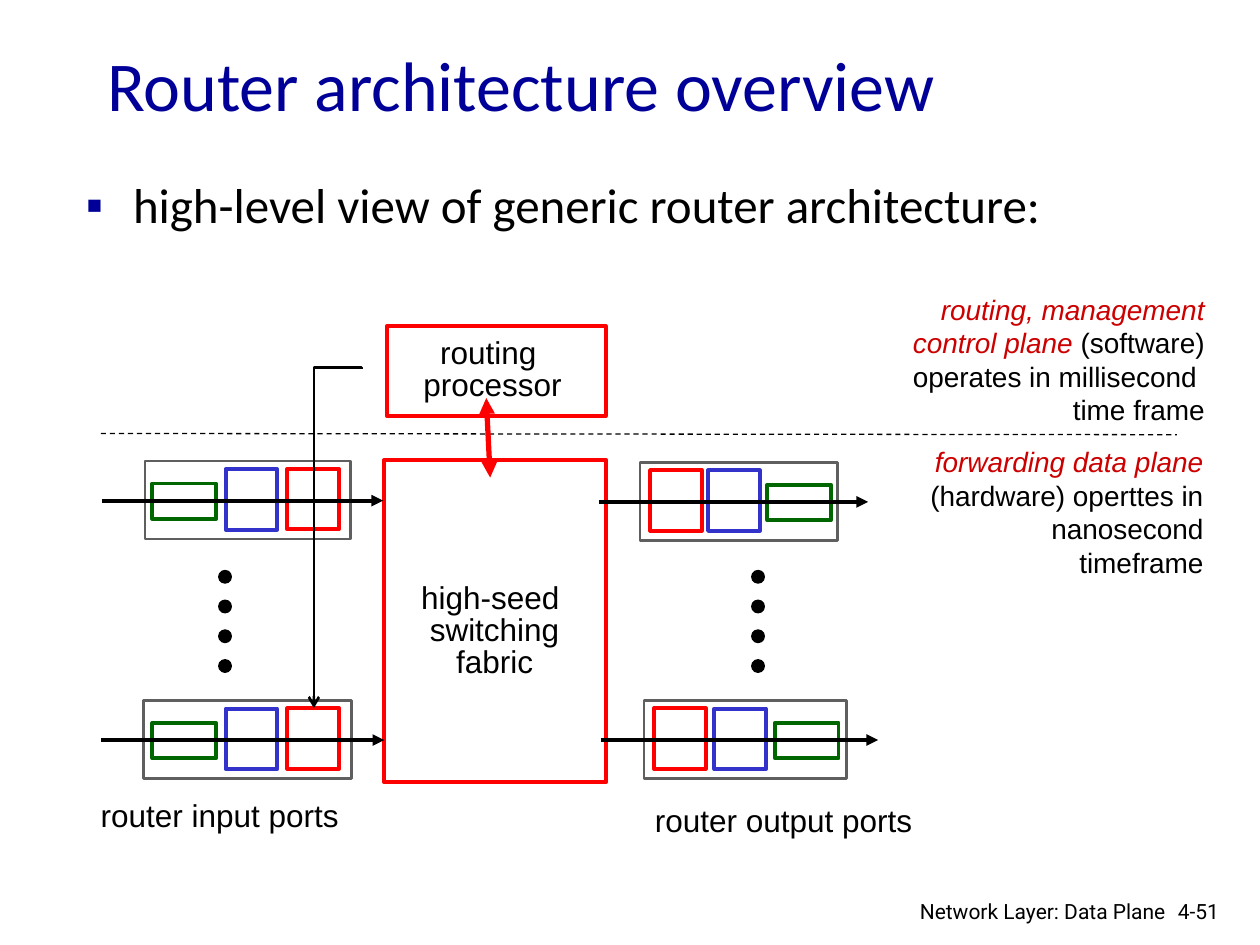
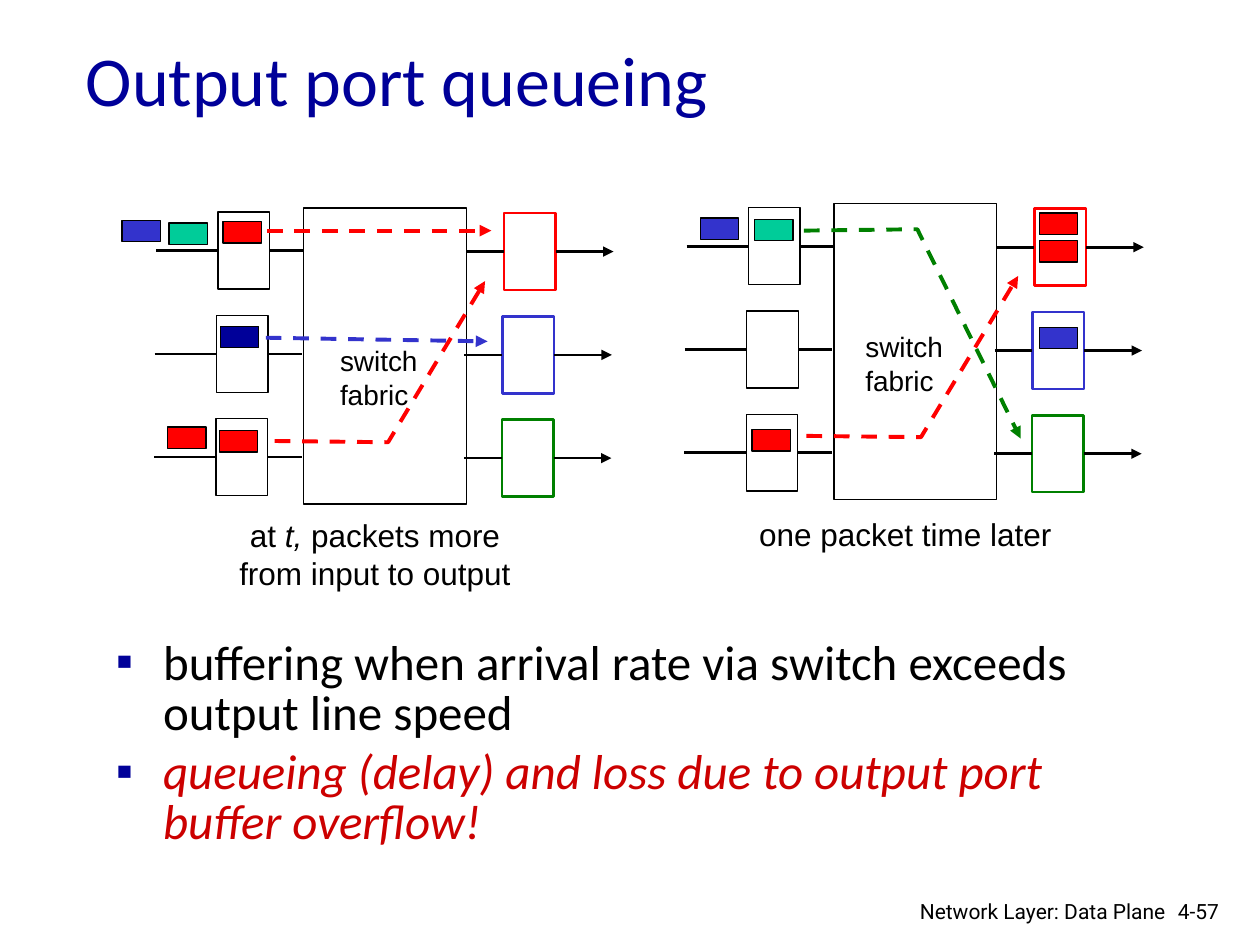
"""Build two slides on router architecture and output port queueing."""
from lxml.etree import SubElement
from pptx import Presentation
from pptx.dml.color import RGBColor
from pptx.enum.dml import MSO_LINE
from pptx.enum.shapes import MSO_CONNECTOR as LINK, MSO_SHAPE as SHAPE
from pptx.enum.text import MSO_ANCHOR as ANCHOR, MSO_AUTO_SIZE, PP_ALIGN as ALIGN
from pptx.oxml.ns import qn
from pptx.util import Pt

NAVY = RGBColor(0x00, 0x00, 0x99)
BLACK = RGBColor(0x00, 0x00, 0x00)
WHITE = RGBColor(0xFF, 0xFF, 0xFF)
RED = RGBColor(0xFF, 0x00, 0x00)
CRIMSON = RGBColor(0xCC, 0x00, 0x00)
BLUE = RGBColor(0x33, 0x33, 0xCC)
GREEN = RGBColor(0x00, 0x80, 0x00)
DARK_GREEN = RGBColor(0x00, 0x66, 0x00)
TEAL = RGBColor(0x00, 0xCC, 0x99)
GRAY = RGBColor(0x5F, 0x5F, 0x5F)


def write(holder, paragraphs, place, font="Arial", size=18, color=BLACK, align=ALIGN.LEFT,
          anchor=ANCHOR.TOP, wrap=True, spacing=1.0, bullet=None):
    """Fill a text holder; a run given as (text, color) is italic."""
    holder.left, holder.top, holder.width, holder.height = map(Pt, place)
    frame = holder.text_frame
    frame.auto_size = MSO_AUTO_SIZE.NONE
    frame.word_wrap = wrap
    frame.vertical_anchor = anchor
    for number, runs in enumerate(paragraphs):
        paragraph = frame.add_paragraph() if number else frame.paragraphs[0]
        paragraph.alignment = align
        paragraph.line_spacing = spacing
        paragraph.space_before = Pt(size * 0.2 if bullet else 0)
        if bullet:
            properties = paragraph._p.get_or_add_pPr()
            properties.set("marL", str(Pt(27)))
            properties.set("indent", str(-Pt(27)))
            bullet_color = SubElement(properties, qn("a:buClr"))
            SubElement(bullet_color, qn("a:srgbClr")).set("val", str(NAVY))
            SubElement(properties, qn("a:buChar")).set("char", bullet)
        for part in runs:
            italic = isinstance(part, tuple)
            text, run_color = part if italic else (part, color)
            run = paragraph.add_run()
            run.text = text
            run.font.name = font
            run.font.size = Pt(size)
            run.font.italic = italic
            run.font.color.rgb = run_color


def style(shape, color, width, fill=None, dash=False, head=None, tail=None):
    """Set outline, arrowheads and fill, and drop the shadow."""
    shape.line.color.rgb = color
    shape.line.width = Pt(width)
    if dash:
        shape.line.dash_style = MSO_LINE.DASH
    for end, kind in (("a:headEnd", head), ("a:tailEnd", tail)):
        if kind:
            SubElement(shape.line._get_or_add_ln(), qn(end)).set("type", kind)
    if hasattr(shape, "fill"):
        shape.shadow.inherit = False
        if fill is None:
            shape.fill.background()
        else:
            shape.fill.solid()
            shape.fill.fore_color.rgb = fill
    else:
        SubElement(shape._element.spPr, qn("a:effectLst"))
    return shape


deck = Presentation()
deck.slide_width, deck.slide_height = Pt(720), Pt(540)

outlines = [
    ("Router architecture overview", (54, 23.8, 612, 48.2), (41.8, 101.5, 612, 46),
     [["high-level view of generic router architecture:"]], "4-51"),
    ("Output port queueing", (41.8, 15.8, 612, 57.6), (59, 362.2, 612, 93.6),
     [["buffering when arrival rate via switch exceeds output line speed"],
      [("queueing (delay) and loss due to output port buffer overflow!", CRIMSON)]], "4-57"),
]
slides = []
for title, title_place, list_place, points, page in outlines:
    slide = deck.slides.add_slide(deck.slide_layouts[1])
    write(slide.shapes.title, [[title]], title_place, font="Calibri", size=40, color=NAVY,
          anchor=ANCHOR.MIDDLE)
    write(slide.placeholders[1], points, list_place, font="Calibri", size=28, spacing=0.85,
          bullet="▪")
    for footer, place, align in ((page, (666, 509.8, 44, 21.6), ALIGN.LEFT),
                                 ("Network Layer: Data Plane", (501.8, 509.8, 171.4, 18.7),
                                  ALIGN.RIGHT)):
        write(slide.shapes.add_textbox(0, 0, 0, 0), [[footer]], place, font="Roboto", size=12,
              align=align)
    slides.append(slide)

architecture = slides[0].shapes
for place in ((219.6, 262.8, 126.7, 184.3), (221, 186.5, 125.3, 51.1)):
    style(architecture.add_shape(SHAPE.RECTANGLE, *map(Pt, place)), RED, 2.25, WHITE)

ports = [
    ((82.8, 263.5, 117.4), 87.1, 128.9, 164.2, (58.3, 218.9)),
    ((82.1, 400.3, 118.8), 87.1, 128.9, 164.2, (57.6, 219.6)),
    ((365.8, 264.2, 113), 438.5, 404.6, 371.5, (342, 496.1)),
    ((367.9, 400.3, 115.9), 442.8, 408.2, 373.7, (343.4, 501.8)),
]
for (left, top, width), green_x, blue_x, red_x, (start, end) in ports:
    for x, y, w, h, color, weight in ((left, top, width, 44.6, GRAY, 1.5),
                                      (green_x, top + 12.8, 36.4, 20.2, DARK_GREEN, 2.25),
                                      (blue_x, top + 4.6, 29.5, 34.6, BLUE, 2.25),
                                      (red_x, top + 4.4, 29.5, 34.6, RED, 2.25)):
        stage = architecture.add_shape(SHAPE.RECTANGLE, Pt(x), Pt(y), Pt(w), Pt(h))
        style(stage, color, weight, WHITE)
    flow = architecture.add_connector(LINK.STRAIGHT, Pt(start), Pt(top + 22.6), Pt(end),
                                      Pt(top + 22.6))
    style(flow, BLACK, 2.25, tail="triangle")

for dots_x in (125, 429.6):
    for row in range(4):
        dot = architecture.add_shape(SHAPE.OVAL, Pt(dots_x), Pt(326 + 17 * row), Pt(7.2), Pt(7.2))
        style(dot, BLACK, 0.75, BLACK)

plane_border = architecture.add_connector(LINK.STRAIGHT, Pt(57.6), Pt(247.7), Pt(672.5), Pt(248.4))
style(plane_border, BLACK, 0.75, dash=True)
processor_link = architecture.add_connector(LINK.STRAIGHT, Pt(277.9), Pt(227.5), Pt(280.1),
                                            Pt(272.9))
style(processor_link, RED, 3, head="triangle", tail="triangle")
table_update = architecture.add_connector(LINK.ELBOW, Pt(95.8), Pt(293.8), Pt(290.2), Pt(321.1))
style(table_update, BLACK, 1.5, tail="arrow")
update_geometry = table_update._element.spPr
update_geometry.find(qn("a:xfrm")).set("rot", "5400000")
bend = SubElement(update_geometry.find(qn("a:prstGeom")).find(qn("a:avLst")), qn("a:gd"))
bend.set("name", "adj1")
bend.set("fmla", "val -100")

centred = dict(align=ALIGN.CENTER, wrap=False, spacing=0.85)
plane = dict(align=ALIGN.RIGHT, size=16)
architecture_labels = [
    ([["high-seed "], ["switching"], ["fabric"]], (234, 329.8, 97.2, 63.4), centred),
    ([["routing "], ["processor"]], (234.7, 190.1, 93.6, 43.9), centred),
    ([["router input ports"]], (50.4, 451.4, 150.5, 28.8), dict(wrap=False)),
    ([["router output ports"]], (367.2, 454.3, 161.3, 28.8), dict(wrap=False)),
    ([[("forwarding data plane ", CRIMSON), "(hardware) operttes in nanosecond timeframe"]],
     (522.7, 250.6, 172.1, 85), plane),
    ([[("routing, management", CRIMSON)], [("control plane ", CRIMSON), "(software)"],
      ["operates in millisecond "], ["time frame"]], (468.7, 163.4, 226.8, 85), plane),
]
for paragraphs, place, look in architecture_labels:
    write(architecture.add_textbox(0, 0, 0, 0), paragraphs, place, **look)

queueing = slides[1].shapes
for dx, dy in ((0, 0), (303, -2.5)):
    fabric = queueing.add_shape(SHAPE.RECTANGLE, Pt(173.5 + dx), Pt(118.8 + dy), Pt(92.9),
                                Pt(169.2))
    style(fabric, BLACK, 0.75, WHITE)
    for row, (shift, port_color) in enumerate(((0, RED), (-1, BLUE), (-1.2, GREEN))):
        x, y = dx + shift, 121.2 + dy + 59 * row
        in_port, out_port = [
            style(queueing.add_shape(SHAPE.RECTANGLE, Pt(x + left), Pt(y + drop), Pt(29.5), Pt(44)),
                  color, weight, WHITE)
            for left, drop, color, weight in ((124.6, 0, BLACK, 0.75), (288, 0.6, port_color, 1.5))]
        for port, middle, before, after, tail in ((in_port, y + 22, 89.3, 173.5, None),
                                                  (out_port, y + 22.6, 266.4, 350.6, "triangle")):
            arriving = queueing.add_connector(LINK.STRAIGHT, Pt(x + before), Pt(middle),
                                              port.left, Pt(middle))
            arriving.end_connect(port, 1)
            style(arriving, BLACK, 1.5)
            leaving = queueing.add_connector(LINK.STRAIGHT, port.left + port.width, Pt(middle),
                                             Pt(x + after), Pt(middle))
            leaving.begin_connect(port, 3)
            style(leaving, BLACK, 1.5, tail=tail)

packets = [
    (69.8, 126, BLUE), (96.5, 127.4, TEAL), (127.4, 126.7, RED), (126, 186.5, NAVY),
    (125.3, 246.2, RED), (95.8, 244.1, RED),
    (400.3, 124.6, BLUE), (431.3, 125.3, TEAL), (429.8, 245.5, RED),
    (594, 121.7, RED), (594, 137.5, RED), (594, 187.2, BLUE),
]
for x, y, color in packets:
    packet = queueing.add_shape(SHAPE.RECTANGLE, Pt(x), Pt(y), Pt(21.9), Pt(12.2))
    style(packet, BLACK, 0.75, color)

transfers = [
    (RED, [(152.6, 131.8), (280.8, 131.8)]),
    (BLUE, [(151.9, 193), (278.6, 195.1)]),
    (RED, [(157, 252), (221.8, 252.7), (277.2, 160.6)]),
    (RED, [(460.8, 249.1), (526.3, 249.8), (581.8, 157.7)]),
    (GREEN, [(459.4, 131.8), (524.2, 131), (583.2, 250.6)]),
]
for color, stops in transfers:
    start, *rest = [(Pt(x), Pt(y)) for x, y in stops]
    if len(rest) == 1:
        transfer = queueing.add_connector(LINK.STRAIGHT, *start, *rest[0])
    else:
        route = queueing.build_freeform(*start)
        route.add_line_segments(rest, close=False)
        transfer = route.convert_to_shape()
    style(transfer, color, 2.25, dash=True, tail="triangle")

caption = dict(align=ALIGN.CENTER)
switch = dict(size=16, wrap=False)
queueing_labels = [
    ([["at ", ("t,", BLACK), " packets more"], ["from input to output"]],
     (117.4, 291.6, 193.7, 50.4), caption),
    ([["one packet time later"]], (420.5, 290.9, 193.7, 28.8), caption),
    ([["switch"], ["fabric"]], (187.2, 193, 59, 46), switch),
    ([["switch"], ["fabric"]], (487.4, 185, 59, 46), switch),
]
for paragraphs, place, look in queueing_labels:
    write(queueing.add_textbox(0, 0, 0, 0), paragraphs, place, **look)

deck.save("out.pptx")
